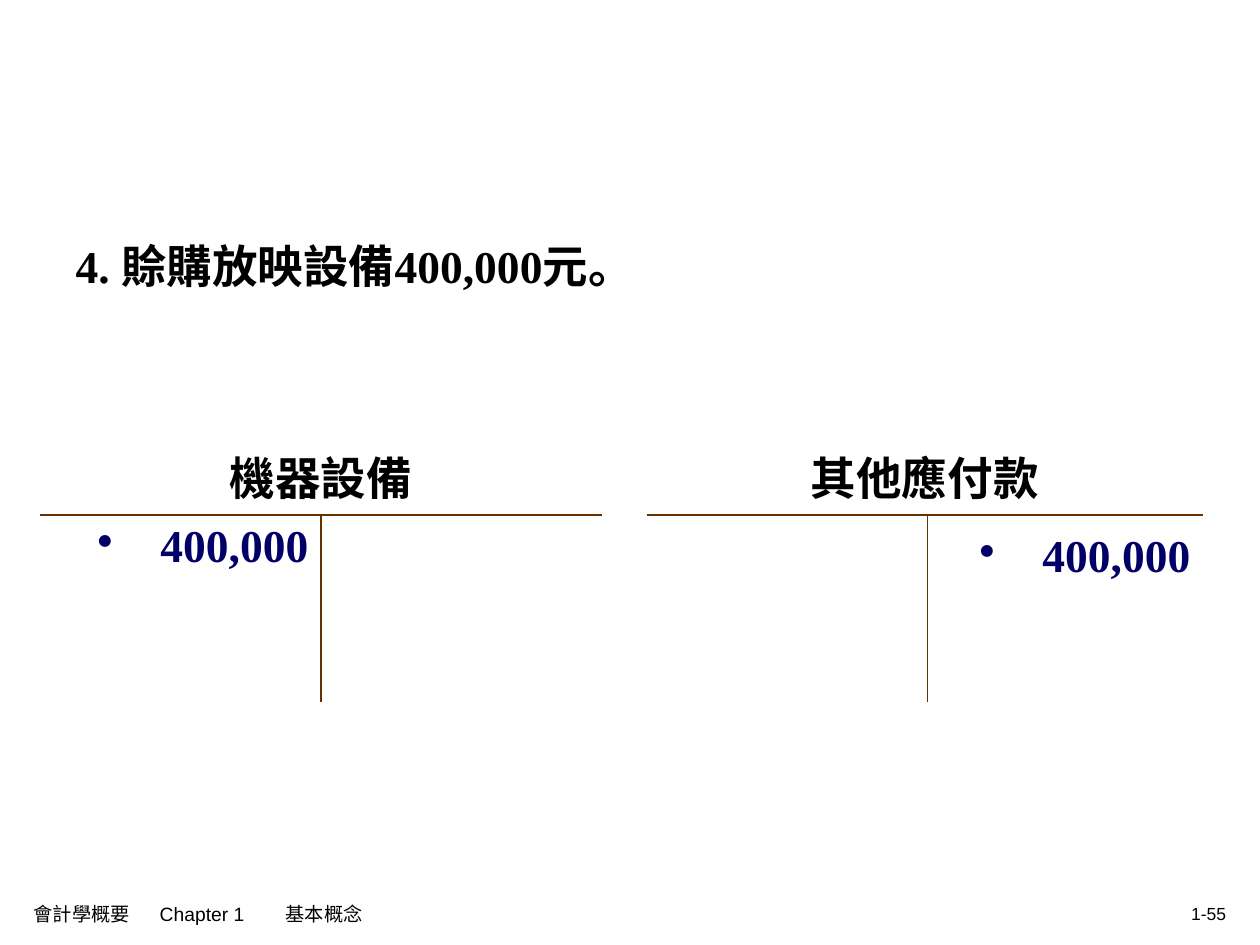
"""Build a page showing a credit purchase posted to two T accounts."""
from dataclasses import dataclass

import pptx
import pptx.dml.color
import pptx.enum.text
import pptx.oxml
import pptx.oxml.ns
import pptx.util

Pt = pptx.util.Pt
Color = pptx.dml.color.RGBColor.from_string
Align = pptx.enum.text.PP_ALIGN
Anchor = pptx.enum.text.MSO_ANCHOR


@dataclass(frozen=True)
class Theme:
    ink: str = "000000"
    amount: str = "000066"
    rule: str = "663300"
    serif: str = "Times New Roman"
    sans: str = "Arial"
    body_size: int = 26
    footer_size: int = 11
    number_size: int = 10
    rule_width: float = 1.08


def set_values(target, values):
    for name, value in values.items():
        setattr(target, name, value)


def make_element(tag, attributes="", inner=""):
    namespace = pptx.oxml.ns.nsdecls("a")
    return pptx.oxml.parse_xml(f"<a:{tag} {namespace} {attributes}>{inner}</a:{tag}>")


class AccountPage:
    def __init__(self, deck, theme):
        self.theme = theme
        self.page = deck.slides.add_slide(deck.slide_layouts[1])
        title = self.page.shapes.title.element
        title.getparent().remove(title)
        self.body_font = {"name": theme.serif, "size": Pt(theme.body_size), "bold": True}

    def set_text(self, frame, text, font, color, layout=None, hanging=0, bullet=None, tabs=()):
        para = frame.paragraphs[0]
        para.text = text
        set_values(para, layout or {})
        properties = para._p.get_or_add_pPr()
        properties.set("marL", str(Pt(hanging)))
        properties.set("indent", str(-Pt(hanging)))
        if bullet:
            properties.append(make_element("buClr", inner=f'<a:srgbClr val="{color}"/>'))
            properties.append(make_element("buChar", f'char="{bullet}"'))
        else:
            properties.append(make_element("buNone"))
        if tabs:
            stops = "".join(f'<a:tab pos="{Pt(stop)}" algn="l"/>' for stop in tabs)
            properties.append(make_element("tabLst", inner=stops))
        for span in para.runs:
            set_values(span.font, font)
            span.font.color.rgb = Color(color)

    def add_statement(self, text, left, top, width, height):
        box = self.page.placeholders[1]
        set_values(box, {"left": Pt(left), "top": Pt(top), "width": Pt(width), "height": Pt(height)})
        box.text_frame.auto_size = pptx.enum.text.MSO_AUTO_SIZE.NONE
        layout = {"line_spacing": 1.2, "space_before": Pt(0)}
        self.set_text(box.text_frame, text, self.body_font, self.theme.ink, layout, hanging=27)

    def add_footer(self, text, left, top, width, height, size, align, tabs=()):
        box = self.page.shapes.add_textbox(Pt(left), Pt(top), Pt(width), Pt(height))
        set_values(box.text_frame, {"word_wrap": True, "vertical_anchor": Anchor.MIDDLE})
        font = {"name": self.theme.sans, "size": Pt(size)}
        self.set_text(box.text_frame, text, font, self.theme.ink, {"alignment": align}, tabs=tabs)

    def set_borders(self, cell, edges):
        properties = cell._tc.get_or_add_tcPr()
        line = f'<a:solidFill><a:srgbClr val="{self.theme.rule}"/></a:solidFill>'
        for position, edge in enumerate("LRTB"):
            if edge in edges:
                border = make_element(f"ln{edge}", f'w="{Pt(self.theme.rule_width)}"', line)
            else:
                border = make_element(f"ln{edge}", inner="<a:noFill/>")
            properties.insert(position, border)

    def add_account(self, name, amount, side, layout, left, top, widths, heights):
        frame = self.page.shapes.add_table(
            2, 2, Pt(left), Pt(top), Pt(sum(widths)), Pt(sum(heights)))
        table = frame.table
        set_values(table, {"first_row": False, "horz_banding": False})
        for column, width in zip(table.columns, widths):
            column.width = Pt(width)
        for row, height in zip(table.rows, heights):
            row.height = Pt(height)
        for row, edges in enumerate((("B", "B"), ("TR", "TL"))):
            for column, cell_edges in enumerate(edges):
                cell = table.cell(row, column)
                cell.fill.background()
                self.set_borders(cell, cell_edges)
        heading = table.cell(0, 0)
        heading.merge(table.cell(0, 1))
        heading.vertical_anchor = Anchor.MIDDLE
        spaced = {"line_spacing": 1.2, "space_before": Pt(6.5)}
        self.set_text(heading.text_frame, name, self.body_font, self.theme.ink,
                      spaced | {"alignment": Align.CENTER})
        self.set_text(table.cell(1, side).text_frame, amount, self.body_font, self.theme.amount,
                      layout | {"alignment": Align.RIGHT}, hanging=36, bullet="•")


def main():
    theme = Theme()
    deck = pptx.Presentation()
    set_values(deck, {"slide_width": Pt(720), "slide_height": Pt(540)})
    page = AccountPage(deck, theme)
    page.add_statement("4. 賒購放映設備400,000元。", 36, 126, 648, 356.4)
    spaced = {"line_spacing": 1.2, "space_before": Pt(6.5)}
    accounts = (
        ("機器設備", 0, {}, 23, (160.5, 160.5)),
        ("其他應付款", 1, spaced, 369.5, (160.5, 157.5)),
    )
    for name, side, layout, left, widths in accounts:
        page.add_account(name, "400,000", side, layout, left, 242, widths, (44.6, 106.6))
    page.add_footer("會計學概要\tChapter 1\t基本概念", 12.2, 510.5, 322, 23.8,
                    theme.footer_size, Align.LEFT, tabs=(65, 125))
    page.add_footer("1-55", 516.2, 510, 191.5, 23.8, theme.number_size, Align.RIGHT)
    deck.save("out.pptx")


if __name__ == "__main__":
    main()
